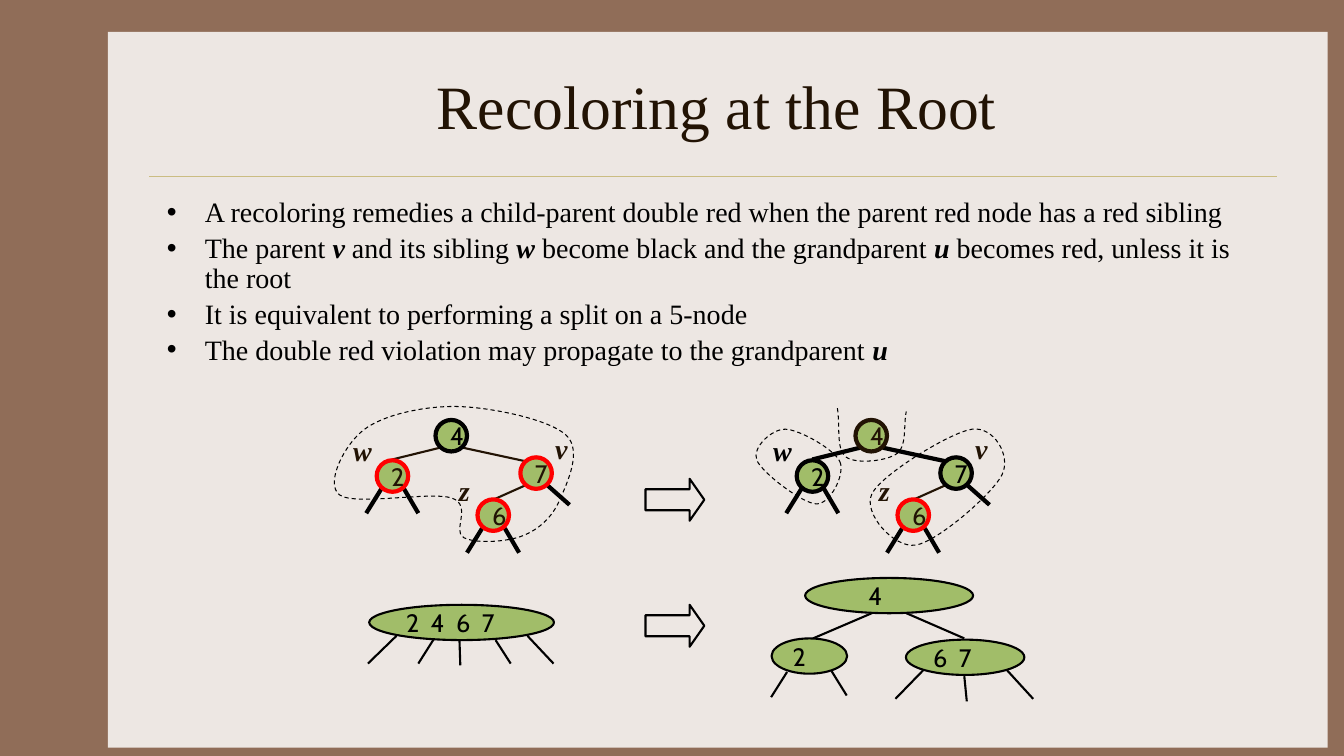
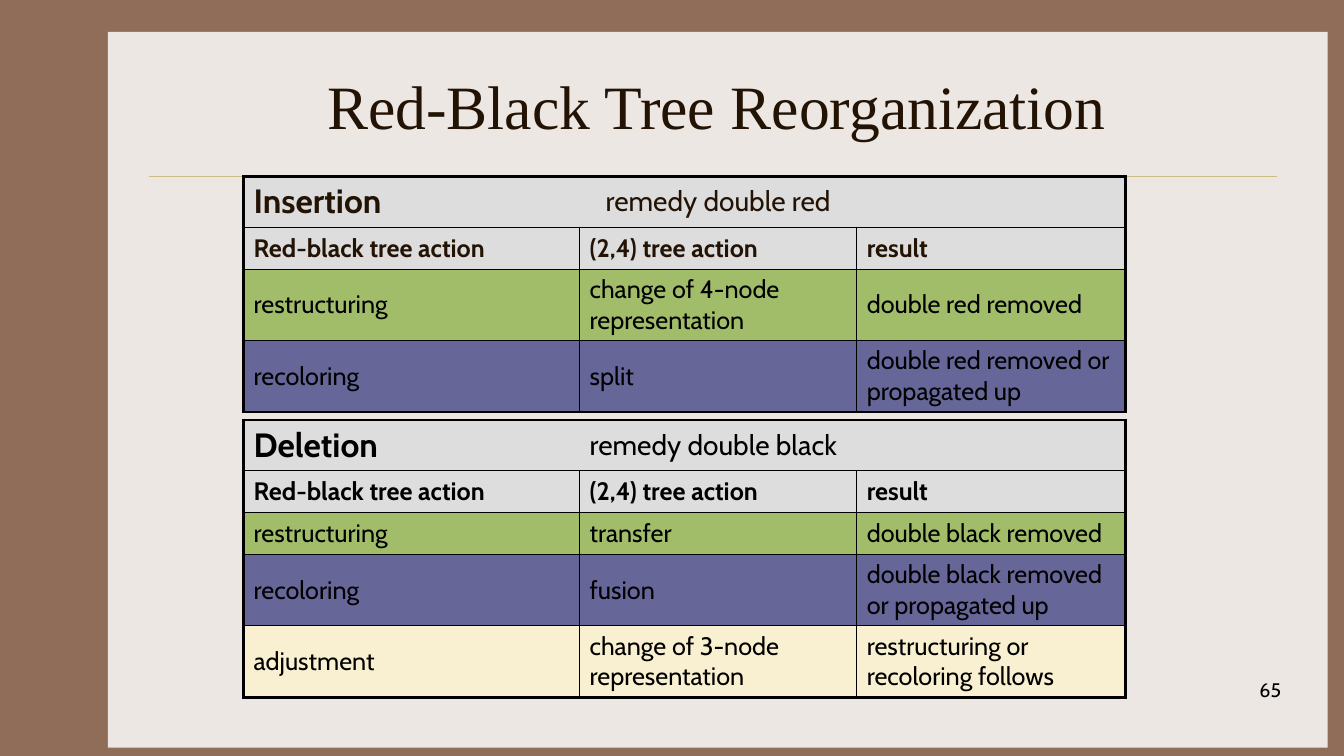
from lxml import etree
from pptx import Presentation, util as u
from pptx.dml.color import RGBColor
from pptx.enum import dml, shapes, text
from pptx.oxml import ns


class Theme:
    frame, panel, rule = "906D58", "EDE7E3", "CBBD83"
    ink, black, red = "221304", "000000", "FF0000"
    green, violet, cream, grey = "A1BD69", "666699", "F8F0D0", "DDDDDD"
    serif, sans = "Times New Roman", "Cabin"
    title, head, body, small, page = 44, 24, 20, 18, 14
    thick, medium, edge, thin, dashed, hair = 3, 1.5, 2.25, 1, 0.75, 0.25


T = Theme
rgb = RGBColor.from_string
prs = Presentation()
prs.slide_width, prs.slide_height = u.Inches(40 / 3), u.Inches(7.5)
# Grid: 160 columns by 90 rows
col, row = prs.slide_width / 160, prs.slide_height / 90


def add_line(s, x1, y1, x2, y2, color, width):
    ln = s.shapes.add_connector(shapes.MSO_CONNECTOR.STRAIGHT, round(x1 * col), round(y1 * row),
                                round(x2 * col), round(y2 * row))
    ln.line.color.rgb = rgb(color)
    ln.line.width = u.Pt(width)
    etree.SubElement(ln._element.spPr, ns.qn("a:effectLst"))


def add_run(p, words, size, font, color, bold=False, italic=False):
    r = p.add_run()
    r.text = words
    r.font.size, r.font.name = u.Pt(size), font
    r.font.bold, r.font.italic = bold, italic
    r.font.color.rgb = rgb(color)
    return r


# Shared background, panel, rule and title
prs.slide_master.background.fill.solid()
prs.slide_master.background.fill.fore_color.rgb = rgb(T.frame)
slides = []
for title in ("Recoloring at the Root", "Red-Black Tree Reorganization"):
    s = prs.slides.add_slide(prs.slide_layouts[6])
    slides.append(s)
    sp = s.shapes.add_shape(shapes.MSO_SHAPE.RECTANGLE, round(12.85 * col), round(3.8 * row),
                            round(145.2 * col), round(85.2 * row))
    sp.shadow.inherit = False
    sp.fill.solid()
    sp.fill.fore_color.rgb = rgb(T.panel)
    sp.line.fill.background()
    add_line(s, 17.8, 21, 152, 21, T.rule, T.hair)
    tf = s.shapes.add_textbox(round(18.7 * col), round(5 * row),
                              round(133.3 * col), round(15 * row)).text_frame
    tf.word_wrap = True
    tf.vertical_anchor = text.MSO_ANCHOR.MIDDLE
    p = tf.paragraphs[0]
    p.alignment = text.PP_ALIGN.CENTER
    add_run(p, title, T.title, T.serif, T.ink)
recolor, summary = slides

# Bullets: every second run is a node name in bold italic
bullets = [
    ["A recoloring remedies a child-parent double red when the parent red node has a red sibling"],
    ["The parent ", "v", " and its sibling ", "w", " become black and the grandparent ", "u",
     " becomes red, unless it is the root"],
    ["It is equivalent to performing a split on a 5-node"],
    ["The double red violation may propagate to the grandparent ", "u"],
]
tf = recolor.shapes.add_textbox(round(18.7 * col), round(23 * row),
                                round(133.3 * col), round(54 * row)).text_frame
tf.word_wrap = True
for i, runs in enumerate(bullets):
    p = tf.add_paragraph() if i else tf.paragraphs[0]
    pPr = p._p.get_or_add_pPr()
    pPr.set("marL", str(round(4.5 * col)))
    pPr.set("indent", str(-round(4.5 * col)))
    etree.SubElement(pPr, ns.qn("a:buFont"), typeface="Arial")
    etree.SubElement(pPr, ns.qn("a:buChar"), char="•")
    p.line_spacing = 0.9
    p.space_before = u.Pt(4 if i else 0)
    for j, words in enumerate(runs):
        add_run(p, words, T.body, T.serif, T.black, j % 2 == 1, j % 2 == 1)

# Binary trees: the second one stands 50 columns to the right
spots = {"4": (51.85, 50), "6": (56.85, 59.45), "7": (61.95, 54.45), "2": (44.85, 54.8)}
labels = {"z": (53.45, 55.8, 4.4), "v": (64.9, 50.8, 4.1), "w": (40.85, 51, 5)}
root_edges = [(55.1, 53.3, 62.5, 54.9), (52.4, 53.3, 46.7, 54.7)]
leaf_edges = [(60.1, 62.9, 61.8, 65.8), (57.4, 62.9, 55.6, 65.8), (65.2, 57.8, 67.8, 60.1),
              (48.1, 58.2, 49.8, 61.1), (45.4, 58.2, 43.6, 61.1)]
red_node, black_node = (T.red, T.ink), (T.black, T.black)
trees = [
    (0, T.ink, T.medium, T.ink,
     {"4": black_node, "6": red_node, "7": red_node, "2": red_node}),
    (50, T.black, T.thick, T.black,
     {"4": (T.ink, T.ink), "6": red_node, "7": black_node, "2": black_node}),
]
# Ellipses: left, top, width, height, text, line colour, line width, text colour, left inset
ellipses = []
for dx, edge_color, edge_width, w_color, nodes in trees:
    edges = [(e, edge_color, edge_width) for e in root_edges]
    edges += [(e, T.black, T.thick) for e in leaf_edges]
    edges.append(((62.5, 57.8, 58.7, 59.5), T.ink, T.medium))
    for (x1, y1, x2, y2), color, width in edges:
        add_line(recolor, x1 + dx, y1, x2 + dx, y2, color, width)
    for name, (x, y, w) in labels.items():
        tf = recolor.shapes.add_textbox(round((x + dx) * col), round(y * row),
                                        round(w * col), round(5.2 * row)).text_frame
        tf.word_wrap = True
        add_run(tf.paragraphs[0], name, T.body, T.serif,
                w_color if name == "w" else T.ink, True, True)
    for key, (outline, color) in nodes.items():
        x, y = spots[key]
        ellipses.append((x + dx, y, 3.75, 3.75, key, outline, T.thick, color, 1.2))

# (2,4) trees
for edge in [(47.2, 75.7, 43.8, 79), (51.7, 76, 49.8, 79), (54.7, 76.2, 54.8, 79.2),
             (59, 76.2, 60.8, 79), (62.8, 75.7, 65.9, 79),
             (103.8, 73, 96.8, 76), (107.9, 73, 114.8, 76),
             (93.7, 80, 91.8, 83), (99, 79.9, 100.8, 82.8),
             (109.9, 79.8, 106.6, 83.2), (114.8, 80.5, 115.1, 83.5), (119.9, 79.8, 123, 83.2)]:
    add_line(recolor, *edge, T.black, T.medium)
for x, y, w, keys, inset in [(43.95, 72, 22, "2 4 6 7", 1.2), (107.85, 76.15, 14.1, "6 7", 1.2),
                             (95.85, 68.8, 20, "4", 4.6), (91.85, 76, 9, "2", 1.2)]:
    ellipses.append((x, y, w, 4.2, keys, T.black, T.medium, T.black, inset))

for x, y, w, h, keys, outline, width, color, inset in ellipses:
    sp = recolor.shapes.add_shape(shapes.MSO_SHAPE.OVAL, round(x * col), round(y * row),
                                  round(w * col), round(h * row))
    sp.shadow.inherit = False
    sp.fill.solid()
    sp.fill.fore_color.rgb = rgb(T.green)
    sp.line.color.rgb = rgb(outline)
    sp.line.width = u.Pt(width)
    tf = sp.text_frame
    tf.word_wrap = False
    tf.vertical_anchor = text.MSO_ANCHOR.MIDDLE
    tf.margin_left = round(inset * col)
    p = tf.paragraphs[0]
    p.alignment = text.PP_ALIGN.LEFT
    r = add_run(p, keys, T.small, T.sans, color)
    if len(keys) > 1:
        r._r.get_or_add_rPr().set("spc", "205")

# Dashed outlines: smooth curves through a few knots
outlines = [
    (True, [(54.6, 48.4), (43.4, 51.1), (40.4, 58.9), (53.8, 59.3),
            (55.2, 64), (62.2, 63.8), (66.6, 59.6), (67.4, 51.8)]),
    (True, [(103.8, 58.8), (109, 64.9), (119.3, 56.5), (115.7, 51.1)]),
    (False, [(99.7, 48.6), (100.7, 54.4), (106.8, 54), (107.9, 49)]),
    (True, [(100, 55), (97.2, 60), (90.1, 54.8), (93.5, 51.1)]),
]
for closed, knots in outlines:
    if closed:
        knots = [knots[-1]] + knots + knots[:2]
    else:
        before = [2 * a - b for a, b in zip(knots[0], knots[1])]
        after = [2 * a - b for a, b in zip(knots[-1], knots[-2])]
        knots = [before] + knots + [after]
    # Each span: two control points, then the next knot
    points = [knots[1]]
    for k in range(len(knots) - 3):
        a, b, c, d = knots[k:k + 4]
        points.append([q + (r - o) / 6 for o, q, r in zip(a, b, c)])
        points.append([q - (r - o) / 6 for o, q, r in zip(b, c, d)])
        points.append(c)
    points = [(round(x * col), round(y * row)) for x, y in points]
    builder = recolor.shapes.build_freeform(*points[0])
    builder.add_line_segments(points[1:], close=closed)
    sp = builder.convert_to_shape()
    segments = list(sp._element.iter(ns.qn("a:lnTo")))
    for k in range(0, len(segments), 3):
        curve = etree.Element(ns.qn("a:cubicBezTo"))
        segments[k].addprevious(curve)
        for segment in segments[k:k + 3]:
            curve.append(segment[0])
            segment.getparent().remove(segment)
    sp.shadow.inherit = False
    sp.fill.background()
    sp.line.color.rgb = rgb(T.black)
    sp.line.width = u.Pt(T.dashed)
    sp.line.dash_style = dml.MSO_LINE.DASH

# Arrows between before and after
for y in (57, 72):
    sp = recolor.shapes.add_shape(shapes.MSO_SHAPE.RIGHT_ARROW, round(76.85 * col),
                                  round(y * row), round(7 * col), round(5 * row))
    sp.adjustments[1] = 0.35
    sp.shadow.inherit = False
    sp.fill.background()
    sp.line.color.rgb = rgb(T.black)
    sp.line.width = u.Pt(T.medium)

# Tables of actions
heads = ("Red-black tree action", "(2,4) tree action", "result")
tables = [
    (21, T.ink, text.PP_ALIGN.CENTER, [6.05, 5, 8.5, 8.5], [
        ("Insertion", "remedy double red", ""), heads,
        ("restructuring", "change of 4-node representation", "double red removed"),
        ("recoloring", "split", "double red removed or propagated up")]),
    (50, T.black, text.PP_ALIGN.LEFT, [6, 5, 5, 8.5, 8.5], [
        ("Deletion", "remedy double black", ""), heads,
        ("restructuring", "transfer", "double black removed"),
        ("recoloring", "fusion", "double black removed or propagated up"),
        ("adjustment", "change of 3-node representation",
         "restructuring or recoloring follows")]),
]
widths = [40, 33, 32]
fills = [T.grey, T.grey, T.green, T.violet, T.cream]
for top, head_color, remedy_align, heights, rows in tables:
    tbl = summary.shapes.add_table(len(rows), len(widths), round(29 * col), round(top * row),
                                   round(sum(widths) * col), round(sum(heights) * row)).table
    tbl.first_row = tbl.horz_banding = False
    for c, w in enumerate(widths):
        tbl.columns[c].width = round(w * col)
    last_row, last_col = len(rows) - 1, len(widths) - 1
    for i, words in enumerate(rows):
        tbl.rows[i].height = round(heights[i] * row)
        for c, entry in enumerate(words):
            cell = tbl.cell(i, c)
            cell.vertical_anchor = text.MSO_ANCHOR.MIDDLE
            cell.fill.solid()
            cell.fill.fore_color.rgb = rgb(fills[i])
            if entry:
                p = cell.text_frame.paragraphs[0]
                size = (T.head, T.body)[c] if i == 0 else T.small
                if (i, c) == (0, 1):
                    p.alignment = remedy_align
                add_run(p, entry, size, T.sans, head_color if i < 2 else T.black,
                        i == 1 or (i, c) == (0, 0))
            # Heavy outer border, thin inner ones, none between the heading cells
            outer = {"L": c == 0, "R": c == last_col, "T": i == 0, "B": i == last_row}
            tcPr = cell._tc.get_or_add_tcPr()
            for n, (side, is_outer) in enumerate(outer.items()):
                ln = etree.Element(ns.qn("a:ln" + side),
                                   w=str(u.Pt(T.edge if is_outer else T.thin)))
                if i == 0 and side in "LR" and not is_outer:
                    etree.SubElement(ln, ns.qn("a:noFill"))
                else:
                    paint = etree.SubElement(ln, ns.qn("a:solidFill"))
                    etree.SubElement(paint, ns.qn("a:srgbClr"), val=T.black)
                tcPr.insert(n, ln)

# Page number
tf = summary.shapes.add_textbox(round(120.3 * col), round(80.1 * row),
                                round(33.4 * col), round(6 * row)).text_frame
tf.word_wrap = True
p = tf.paragraphs[0]
p.alignment = text.PP_ALIGN.RIGHT
add_run(p, "65", T.page, T.sans, T.black)

prs.save("out.pptx")
